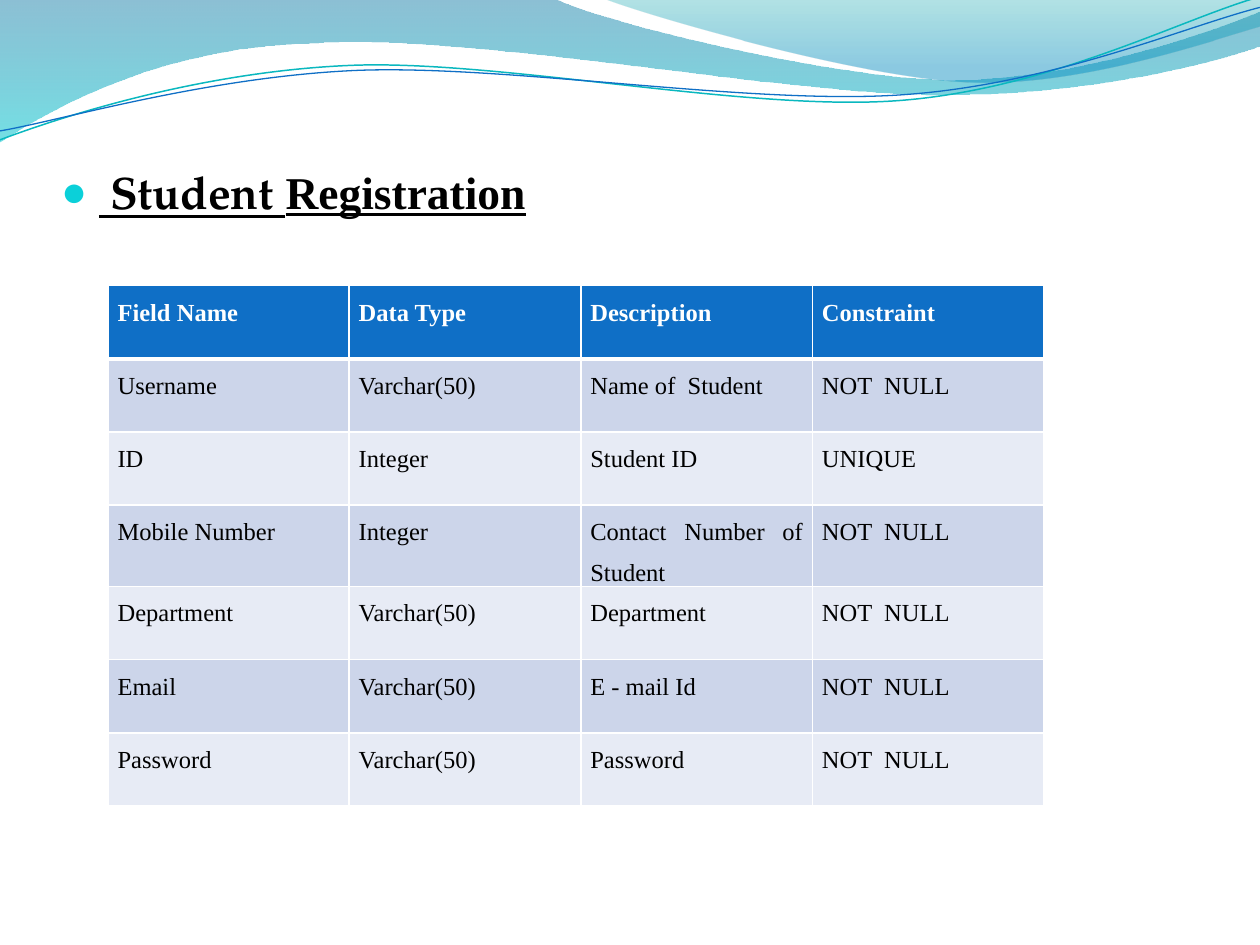
from lxml.etree import SubElement
from pptx import Presentation
from pptx.dml.color import RGBColor
from pptx.enum.text import MSO_ANCHOR, MSO_AUTO_SIZE, PP_ALIGN
from pptx.oxml.ns import qn
from pptx.util import Cm, Pt

# Content
HEADING = [(" Student ", "TeX Gyre Pagella"), ("Registration", "Times New Roman")]
ROWS = [
    ("Field Name", "Data Type", "Description", "Constraint"),
    ("Username", "Varchar(50)", "Name of  Student", "NOT  NULL"),
    ("ID", "Integer", "Student ID", "UNIQUE"),
    ("Mobile Number", "Integer", "Contact Number of Student", "NOT  NULL"),
    ("Department", "Varchar(50)", "Department", "NOT  NULL"),
    ("Email", "Varchar(50)", "E - mail Id", "NOT  NULL"),
    ("Password", "Varchar(50)", "Password", "NOT  NULL"),
]
COLUMN_WIDTHS = (4.86, 4.67, 4.67, 4.67)
ROW_HEIGHT = 1.475

THEME = {
    "font": "Times New Roman", "heading_size": 26, "cell_size": 14,
    "text": "000000", "bullet": "0BD0D9", "white": "FFFFFF",
    "header": "0F6FC6", "bands": ("CCD5EA", "E7EBF5"),
}

# Wave outlines in cm: two numbers are a straight step, six are a Bézier curve.
# Gradient stops are (position, colour, opacity %).
WAVES = [
    {"path": [(0, 0), (11.18, -0.03),
              (12.09, 0.43, 16.87, 1.6, 19.25, 1.6),
              (21.67, 1.6, 24.33, 0.66, 25.4, 0.23), (25.43, 0.91),
              (24.97, 1.12, 22.1, 1.93, 18.95, 1.91),
              (15.8, 1.91, 9.7, 0.71, 6.53, 0.86),
              (3.28, 0.91, 1.17, 2.11, -0.03, 2.87)],
     "stops": [(0, "0074A1", 45), (1, "00C6CF", 55)]},
    {"path": [(12.17, -0.03),
              (12.93, 0.28, 17.32, 1.57, 19.53, 1.65),
              (21.74, 1.75, 24.41, 0.81, 25.4, 0.53), (25.4, 0)],
     "stops": [(0, "00A1A9", 30), (0.8, "008BBF", 45)]},
    {"path": [(0, 2.82),
              (1.22, 2.36, 4.01, 1.45, 7.04, 1.32),
              (10.03, 1.19, 15.06, 2.26, 18.11, 2.03),
              (21.16, 1.8, 23.83, 0.38, 25.35, -0.05)],
     "line": ("0AB8BF", 0.85)},
    {"path": [(0, 2.64),
              (1.19, 2.44, 4.17, 1.55, 7.19, 1.42),
              (10.24, 1.3, 15.16, 2.13, 18.21, 1.91),
              (21.23, 1.7, 23.9, 0.53, 25.4, 0.15)],
     "line": ("0F6FC6", 0.75)},
]


def rgb(value):
    return RGBColor.from_string(value)


def bend(s, steps):
    """Turn the straight segments of six-number steps into Bézier curves."""
    segments = s._element.spPr.findall(".//" + qn("a:lnTo"))
    for segment, step in zip(segments, steps):
        if len(step) == 2:
            continue
        curve = segment.makeelement(qn("a:cubicBezTo"), {})
        for x, y in zip(step[::2], step[1::2]):
            SubElement(curve, qn("a:pt"), x=str(Cm(x) - s.left), y=str(Cm(y) - s.top))
        segment.getparent().replace(segment, curve)


def add_wave(slide, wave):
    points = [(Cm(step[-2]), Cm(step[-1])) for step in wave["path"]]
    builder = slide.shapes.build_freeform(*points[0])
    builder.add_line_segments(points[1:], close="stops" in wave)
    s = builder.convert_to_shape()
    bend(s, wave["path"][1:])
    s.shadow.inherit = False
    if "line" in wave:
        color, width = wave["line"]
        s.fill.background()
        s.line.color.rgb = rgb(color)
        s.line.width = Pt(width)
        return
    s.line.fill.background()
    s.fill.gradient()
    s.fill.gradient_angle = 270
    for stop, (position, color, _) in zip(s.fill.gradient_stops, wave["stops"]):
        stop.position = position
        stop.color.rgb = rgb(color)
    colors = s._element.spPr.findall(".//" + qn("a:srgbClr"))
    for element, (_, _, opacity) in zip(colors, wave["stops"]):
        SubElement(element, qn("a:alpha"), val=str(opacity * 1000))


def format_run(r, font, size, color, bold):
    r.font.name = font
    r.font.size = Pt(size)
    r.font.color.rgb = rgb(color)
    r.font.bold = bold


def add_heading(s):
    s.left, s.top, s.width, s.height = Cm(0.98), Cm(3.18), Cm(21.87), Cm(11.38)
    tf = s.text_frame
    tf.word_wrap = True
    tf.auto_size = MSO_AUTO_SIZE.NONE
    tf.vertical_anchor = MSO_ANCHOR.TOP
    p = tf.paragraphs[0]
    for text, font in HEADING:
        r = p.add_run()
        r.text = text
        format_run(r, font, THEME["heading_size"], THEME["text"], True)
        r.font.underline = True
    # Round bullet with a hanging indent
    pPr = p._p.get_or_add_pPr()
    pPr.set("marL", str(Cm(0.76)))
    pPr.set("indent", str(Cm(-0.76)))
    SubElement(SubElement(pPr, qn("a:buClr")), qn("a:srgbClr"), val=THEME["bullet"])
    SubElement(pPr, qn("a:buSzPct"), val="95000")
    SubElement(pPr, qn("a:buFont"), typeface=THEME["font"])
    SubElement(pPr, qn("a:buChar"), char="●")


def set_borders(cell, widths):
    tcPr = cell._tc.get_or_add_tcPr()
    for i, (side, width) in enumerate(widths.items()):
        ln = tcPr.makeelement(qn("a:" + side), {"w": str(Pt(width))})
        SubElement(SubElement(ln, qn("a:solidFill")), qn("a:srgbClr"), val=THEME["white"])
        tcPr.insert(i, ln)


def add_field_table(slide):
    frame = slide.shapes.add_table(
        len(ROWS), len(COLUMN_WIDTHS), Cm(2.18), Cm(5.76),
        Cm(sum(COLUMN_WIDTHS)), Cm(ROW_HEIGHT * len(ROWS)))
    table = frame.table
    for column, width in zip(table.columns, COLUMN_WIDTHS):
        column.width = Cm(width)
    for i, texts in enumerate(ROWS):
        table.rows[i].height = Cm(ROW_HEIGHT)
        header = i == 0
        fill = THEME["header"] if header else THEME["bands"][(i - 1) % 2]
        for j, text in enumerate(texts):
            cell = table.cell(i, j)
            cell.margin_left = cell.margin_right = Cm(0.19)
            cell.margin_top = cell.margin_bottom = 0
            cell.fill.solid()
            cell.fill.fore_color.rgb = rgb(fill)
            set_borders(cell, {"lnL": 1, "lnR": 1, "lnT": 3 if i == 1 else 1,
                               "lnB": 3 if header else 1})
            cell.text_frame.text = text
            p = cell.text_frame.paragraphs[0]
            p.alignment = PP_ALIGN.JUSTIFY
            p.line_spacing = 1.5
            format_run(p.runs[0], THEME["font"], THEME["cell_size"],
                       THEME["white" if header else "text"], header)


def main():
    prs = Presentation()
    prs.slide_width, prs.slide_height = Cm(25.4), Cm(19.05)
    # The heading is a bulleted body paragraph, so the title goes unused
    slide = prs.slides.add_slide(prs.slide_layouts[1])
    title = slide.shapes.title._element
    title.getparent().remove(title)
    for wave in WAVES:
        add_wave(slide, wave)
    add_heading(slide.placeholders[1])
    add_field_table(slide)
    prs.save("out.pptx")


if __name__ == "__main__":
    main()
